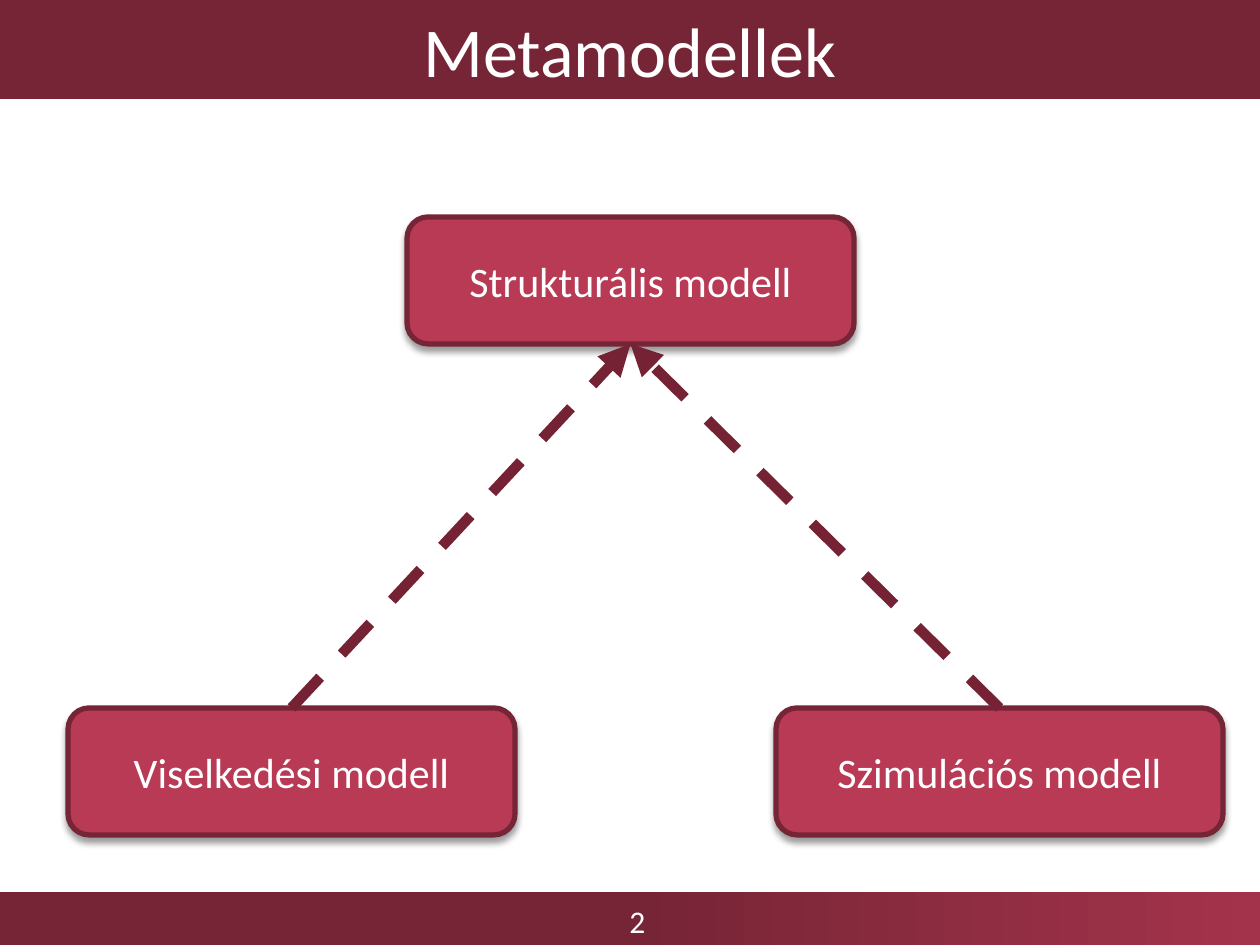
from dataclasses import dataclass

from lxml import etree
from pptx import Presentation
from pptx.dml.color import RGBColor
from pptx.enum.dml import MSO_LINE
from pptx.enum.shapes import MSO_CONNECTOR, MSO_SHAPE
from pptx.enum.text import MSO_ANCHOR, PP_ALIGN
from pptx.oxml import parse_xml
from pptx.oxml.ns import nsdecls, qn
from pptx.util import Pt

EMU_PER_PX = 914400 / 126
SLIDE_W, SLIDE_H = 1260, 945
BOX_W, BOX_H = 447, 127
TOP, BOTTOM = 0, 2  # connection sites of a rounded rectangle


@dataclass(frozen=True)
class Theme:
    font: str = "Calibri"
    dark: RGBColor = RGBColor(0x76, 0x25, 0x36)
    light: RGBColor = RGBColor(0xA3, 0x33, 0x4B)
    box: RGBColor = RGBColor(0xB8, 0x3A, 0x55)
    arrow: RGBColor = RGBColor(0x75, 0x22, 0x34)
    text: RGBColor = RGBColor(0xFF, 0xFF, 0xFF)
    title_size: Pt = Pt(40)
    box_size: Pt = Pt(24)
    number_size: Pt = Pt(18)


THEME = Theme()


def px(*lengths):
    return [round(n * EMU_PER_PX) for n in lengths]


def write(sp, text, size, align):
    tf = sp.text_frame
    tf.text = text
    tf.word_wrap = True
    p = tf.paragraphs[0]
    p.alignment = align
    p.font.name, p.font.size = THEME.font, size
    p.font.color.rgb = THEME.text
    return tf


def add_title(slide, text, x, y, w, h):
    title = slide.shapes.title
    title.left, title.top, title.width, title.height = px(x, y, w, h)
    title.fill.solid()
    title.fill.fore_color.rgb = THEME.dark
    tf = write(title, text, THEME.title_size, PP_ALIGN.CENTER)
    tf.vertical_anchor = MSO_ANCHOR.MIDDLE


def add_footer(slide, number, x, y, w, h):
    band = slide.shapes.add_shape(MSO_SHAPE.RECTANGLE, *px(x, y, w, h))
    band.shadow.inherit = False
    band.line.fill.background()
    band.fill.gradient()
    band.fill.gradient_angle = 0
    stops = zip(band.fill.gradient_stops, (0.5, 1), (THEME.dark, THEME.light))
    for stop, position, color in stops:
        stop.position = position
        stop.color.rgb = color
    label = slide.shapes.add_textbox(*px(x + 617, y + 4, 74, 50))
    write(label, number, THEME.number_size, PP_ALIGN.LEFT)


def add_drop_shadow(sp):
    sp.shadow.inherit = False
    effects = sp._element.spPr.find(qn("a:effectLst"))
    effects.append(parse_xml(
        f'<a:outerShdw {nsdecls("a")} blurRad="{Pt(4)}" dist="{Pt(3)}" '
        'dir="5400000" rotWithShape="0"><a:srgbClr val="000000">'
        '<a:alpha val="40000"/></a:srgbClr></a:outerShdw>'))


def add_model(slide, text, x, y):
    sp = slide.shapes.add_shape(
        MSO_SHAPE.ROUNDED_RECTANGLE, *px(x, y, BOX_W, BOX_H))
    sp.fill.solid()
    sp.fill.fore_color.rgb = THEME.box
    sp.line.color.rgb = THEME.dark
    sp.line.width = Pt(3)
    add_drop_shadow(sp)
    tf = write(sp, text, THEME.box_size, PP_ALIGN.CENTER)
    tf.vertical_anchor = MSO_ANCHOR.MIDDLE
    return sp


def add_dependency(slide, source, target):
    """Draw a dashed arrow from the top of source to the bottom of target."""
    arrow = slide.shapes.add_connector(MSO_CONNECTOR.STRAIGHT, 0, 0, 0, 0)
    arrow.begin_connect(source, TOP)
    arrow.end_connect(target, BOTTOM)
    arrow.line.color.rgb = THEME.arrow
    arrow.line.width = Pt(6)
    arrow.line.dash_style = MSO_LINE.DASH
    spPr = arrow._element.spPr
    etree.SubElement(spPr.find(qn("a:ln")), qn("a:tailEnd"), type="triangle")
    etree.SubElement(spPr, qn("a:effectLst"))


def add_model_tree(slide, x, y):
    structural = add_model(slide, "Strukturális modell", x + 339, y)
    behavioural = add_model(slide, "Viselkedési modell", x, y + 491)
    simulation = add_model(slide, "Szimulációs modell", x + 708, y + 491)
    for source in (behavioural, simulation):
        add_dependency(slide, source, structural)


def main():
    prs = Presentation()
    prs.slide_width, prs.slide_height = px(SLIDE_W, SLIDE_H)
    slide = prs.slides.add_slide(prs.slide_layouts[5])
    add_footer(slide, "2", 0, 892, SLIDE_W, 53)
    add_title(slide, "Metamodellek", 0, 0, SLIDE_W, 99)
    add_model_tree(slide, 68, 217)
    prs.save("out.pptx")


if __name__ == "__main__":
    main()
